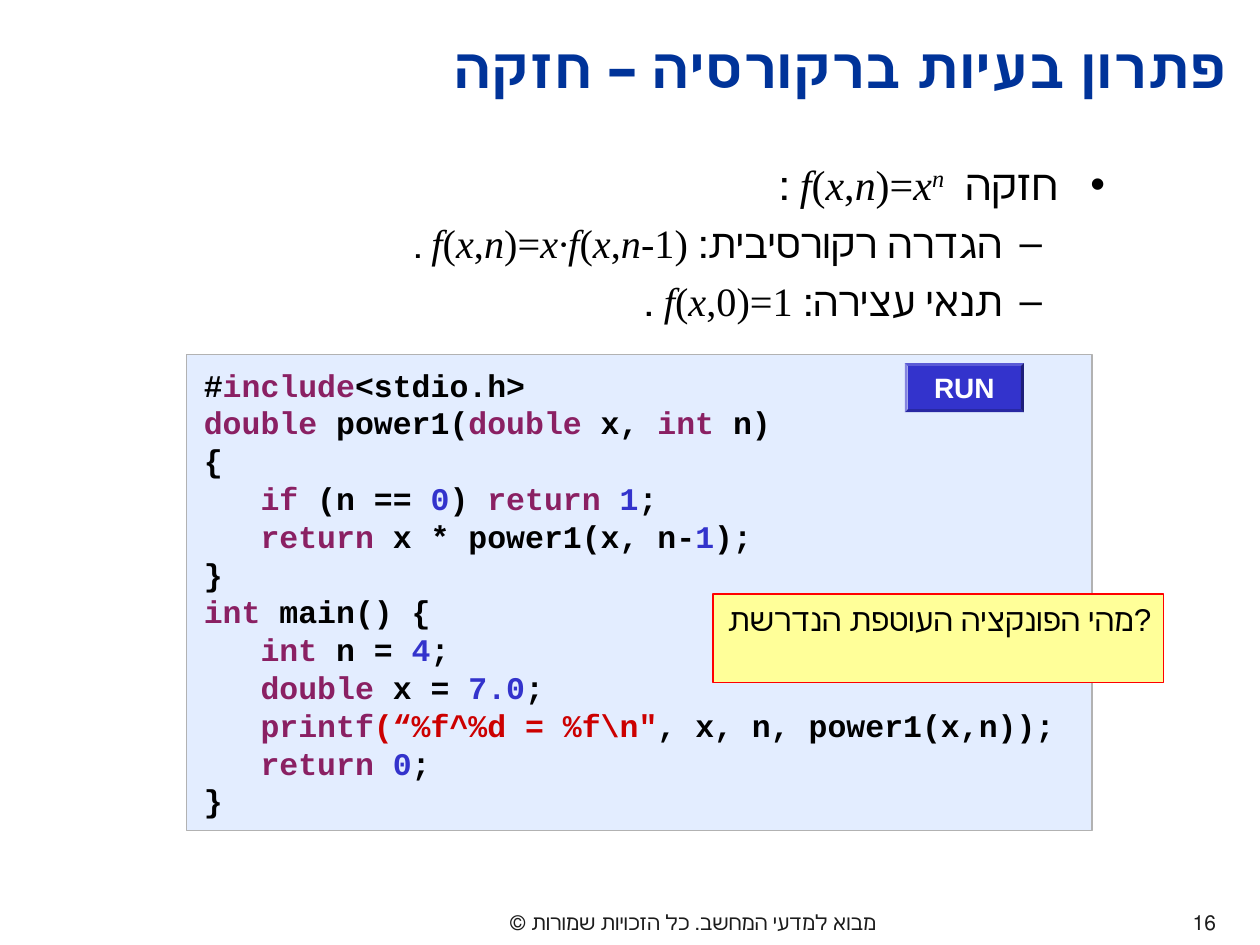
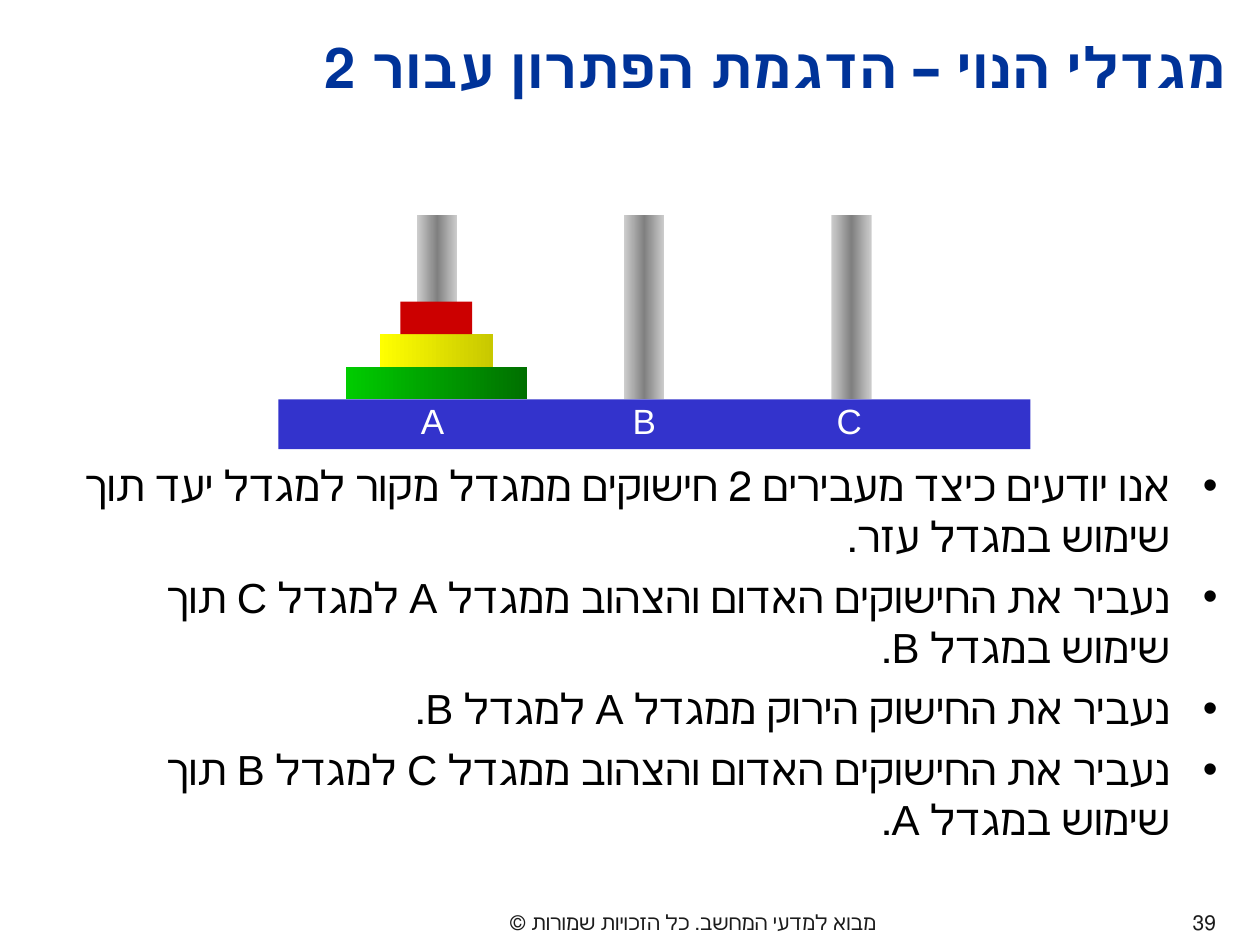
from itertools import groupby

from lxml.etree import SubElement
from pptx import Presentation
from pptx.dml.color import RGBColor
from pptx.enum.shapes import MSO_SHAPE as Shape
from pptx.enum.text import MSO_ANCHOR as Anchor, PP_ALIGN as Align
from pptx.oxml import parse_xml
from pptx.oxml.ns import nsdecls, qn
from pptx.util import Pt

# Colours
BLACK = RGBColor(0x00, 0x00, 0x00)
WHITE = RGBColor(0xFF, 0xFF, 0xFF)
TITLE_BLUE = RGBColor(0x00, 0x33, 0x99)
FOOTER_GREY = RGBColor(0x1C, 0x1C, 0x1C)
BLUE = RGBColor(0x33, 0x33, 0xCC)
PURPLE = RGBColor(0x8A, 0x20, 0x63)
RED = RGBColor(0xCC, 0x00, 0x00)
CODE_FILL = RGBColor(0xE3, 0xED, 0xFF)
CODE_LINE = RGBColor(0xB2, 0xB2, 0xB2)
NOTE_FILL = RGBColor(0xFF, 0xFF, 0x99)
NOTE_LINE = RGBColor(0xFF, 0x00, 0x00)
POLE_EDGE = RGBColor(0xCD, 0xCD, 0xCD)
POLE_MIDDLE = RGBColor(0x80, 0x80, 0x80)
YELLOW = RGBColor(0xFF, 0xFF, 0x00)
DARK_YELLOW = RGBColor(0xC8, 0xC8, 0x00)
GREEN = RGBColor(0x00, 0xCC, 0x00)
DARK_GREEN = RGBColor(0x00, 0x70, 0x00)

# Text styles
TITLE = {"size": Pt(32), "name": "Arial", "bold": True, "color": TITLE_BLUE}
FOOTER = {"size": Pt(12), "name": "Arial", "color": FOOTER_GREY}
BODY = {"size": Pt(24), "name": "Arial", "color": BLACK}
SUB_BODY = BODY | {"size": Pt(23)}
CODE = {"size": Pt(18), "name": "Courier New", "bold": True, "color": BLACK}
NOTE = {"size": Pt(18), "name": "Arial", "color": BLACK}
BUTTON = {"size": Pt(16), "name": "Arial", "bold": True, "color": WHITE}
LABEL = {"size": Pt(20), "name": "Arial", "color": WHITE}
MATH = {"name": "Times New Roman"}

# Bullets: character, left margin, hanging indent
BULLET = ("•", 27, -27)
DASH = ("–", 58.5, -22.5)


def add_box(slide, place, fill=None, line=None, kind=Shape.RECTANGLE):
    """Add a shape, or a text box if unfilled; a list of colours is a gradient."""
    place = map(Pt, place)
    if fill is None:
        box = slide.shapes.add_textbox(*place)
        box.text_frame.word_wrap = True
        return box
    shape = slide.shapes.add_shape(kind, *place)
    shape.shadow.inherit = False
    if isinstance(fill, list):
        stops = "".join(
            f'<a:gs pos="{100000 * i // (len(fill) - 1)}"><a:srgbClr val="{color}"/></a:gs>'
            for i, color in enumerate(fill))
        shape._element.spPr.insert(2, parse_xml(
            f'<a:gradFill {nsdecls("a")} rotWithShape="1"><a:gsLst>{stops}</a:gsLst>'
            '<a:lin ang="0" scaled="0"/></a:gradFill>'))
    else:
        shape.fill.solid()
        shape.fill.fore_color.rgb = fill
    if line is None:
        shape.line.fill.background()
    else:
        shape.line.color.rgb = line
        shape.line.width = Pt(0.75)
    shape.text_frame.vertical_anchor = Anchor.TOP
    return shape


def write(frame, runs, style, align=Align.RIGHT, rtl=True, bullet=None, before=0):
    """Write one paragraph; runs are (text, changes to the style)."""
    paragraph = frame.paragraphs[0]
    if paragraph.runs:
        paragraph = frame.add_paragraph()
    paragraph.alignment = align
    paragraph.space_before = Pt(before)
    properties = paragraph._p.get_or_add_pPr()
    properties.set("rtl", "1" if rtl else "0")
    if bullet:
        character, margin, indent = bullet
        properties.set("marL", str(Pt(margin)))
        properties.set("indent", str(Pt(indent)))
        SubElement(properties, qn("a:buFont")).set("typeface", "Arial")
        SubElement(properties, qn("a:buChar")).set("char", character)
    for text, changes in runs:
        run = paragraph.add_run()
        run.text = text
        for name, value in (style | changes).items():
            if name == "color":
                run.font.color.rgb = value
            elif name == "baseline":
                run.font._element.set("baseline", str(value))
            else:
                setattr(run.font, name, value)


presentation = Presentation()
presentation.slide_width = Pt(720)
presentation.slide_height = Pt(540)

# Shared title and footer
slides = []
for title_text, number in (("פתרון בעיות ברקורסיה – חזקה", "16"),
                           ("מגדלי הנוי – הדגמת הפתרון עבור 2", "39")):
    slide = presentation.slides.add_slide(presentation.slide_layouts[5])
    title = slide.shapes.title
    for name, value in zip(("left", "top", "width", "height"), (114, 5, 594.5, 65)):
        setattr(title, name, Pt(value))
    title.text_frame.vertical_anchor = Anchor.MIDDLE
    write(title.text_frame, [(title_text, {})], TITLE)
    footer = add_box(slide, (132, 516, 528, 23.5))
    write(footer.text_frame, [("מבוא למדעי המחשב. כל הזכויות שמורות ©", {})],
          FOOTER, Align.CENTER)
    page = add_box(slide, (666, 516, 36, 23.5))
    write(page.text_frame, [(number, {})], FOOTER)
    slides.append(slide)
power_slide, hanoi_slide = slides

# Power: definitions, with variables in italics
definitions = add_box(power_slide, (103, 87, 535.5, 110)).text_frame
superscript = [("n", MATH | {"italic": True, "baseline": 30000})]
for lead, formula, exponent, end, style, bullet, before in (
        ("חזקה  ", "f(x,n)=x", superscript, (" :", {}), BODY, BULLET, 6),
        ("הגדרה רקורסיבית: ", "f(x,n)=x·f(x,n-1)", [], (" .", {"size": Pt(21)}),
         SUB_BODY, DASH, 5.2),
        ("תנאי עצירה: ", "f(x,0)=1", [], (" .", {}), SUB_BODY, DASH, 5.8)):
    math = [("".join(letters), MATH | {"italic": italic})
            for italic, letters in groupby(formula, lambda letter: letter in "fxn·")]
    write(definitions, [(lead, {}), *math, *exponent, end], style,
          bullet=bullet, before=before)

# Power: code listing
PLAIN, KEYWORD, NUMBER, STRING = ({"color": c} for c in (BLACK, PURPLE, BLUE, RED))
INDENT = ("   ", PLAIN)
code_lines = [
    [("#", PLAIN), ("include", KEYWORD), ("<stdio.h>", PLAIN)],
    [("double", KEYWORD), (" power1(", PLAIN), ("double", KEYWORD), (" x, ", PLAIN),
     ("int", KEYWORD), (" n)", PLAIN)],
    [("{", PLAIN)],
    [INDENT, ("if", KEYWORD), (" (n == ", PLAIN), ("0", NUMBER), (") ", PLAIN),
     ("return ", KEYWORD), ("1", NUMBER), (";", PLAIN)],
    [INDENT, ("return", KEYWORD), (" x * power1(x, n-", PLAIN), ("1", NUMBER), (");", PLAIN)],
    [("}", PLAIN)],
    [("int", KEYWORD), (" main() {", PLAIN)],
    [INDENT, ("int", KEYWORD), (" n = ", PLAIN), ("4", NUMBER), (";", PLAIN)],
    [INDENT, ("double", KEYWORD), (" x = ", PLAIN), ("7.0", NUMBER), (";", PLAIN)],
    [INDENT, ("printf", KEYWORD), ('(“%f^%d = %f\\n"', STRING),
     (", x, n, power1(x,n));", PLAIN)],
    [INDENT, ("return ", KEYWORD), ("0", NUMBER), (";", PLAIN)],
    [("}", PLAIN)],
]
listing = add_box(power_slide, (106.5, 202.5, 517.5, 272), CODE_FILL, CODE_LINE).text_frame
for side, margin in (("left", 10), ("right", 10), ("top", 6.5), ("bottom", 6.5)):
    setattr(listing, f"margin_{side}", Pt(margin))
for code_line in code_lines:
    write(listing, code_line, CODE, Align.LEFT, rtl=False)

# Power: run button and question
button = add_box(power_slide, (517, 207.5, 68, 28), BLUE, kind=Shape.BEVEL)
button.adjustments[0] = 0.06
button.text_frame.word_wrap = False
button.text_frame.vertical_anchor = Anchor.MIDDLE
write(button.text_frame, [("RUN", {})], BUTTON, Align.CENTER)
question = add_box(power_slide, (407.5, 339.5, 257.5, 50.5), NOTE_FILL, NOTE_LINE)
write(question.text_frame, [("מהי הפונקציה העוטפת הנדרשת?", {})], NOTE, rtl=False)

# Hanoi: base, poles and labels
BASE_TOP = 228.2
FIRST_POLE, POLE_GAP = 249.8, 118.4
POLE_WIDTH, POLE_HEIGHT = 23, 105.2
LABEL_WIDTH = 26
add_box(hanoi_slide, (159.1, BASE_TOP, 429.8, 28.5), BLUE)
for i, (letter, shift) in enumerate((("A", -1.8), ("B", 0.8), ("C", 0))):
    center = FIRST_POLE + i * POLE_GAP
    add_box(hanoi_slide, (center - POLE_WIDTH / 2, BASE_TOP - POLE_HEIGHT,
                          POLE_WIDTH, POLE_HEIGHT), [POLE_EDGE, POLE_MIDDLE, POLE_EDGE])
    label = add_box(hanoi_slide, (center + shift - LABEL_WIDTH / 2, 224.6, LABEL_WIDTH, 31.7))
    label.text_frame.word_wrap = False
    write(label.text_frame, [(letter, {})], LABEL, Align.CENTER)

# Hanoi: rings, from the bottom up
RING_CENTER, RING_HEIGHT = 249.3, 18.6
rings = ((103.7, [GREEN, DARK_GREEN]), (64.5, [YELLOW, DARK_YELLOW]), (41, RED))
for i, (width, fill) in enumerate(rings):
    add_box(hanoi_slide, (RING_CENTER - width / 2, BASE_TOP - (i + 1) * RING_HEIGHT,
                          width, RING_HEIGHT), fill)

# Hanoi: steps
steps = add_box(hanoi_slide, (21.5, 259.2, 681.2, 238.3)).text_frame
for step in ("אנו יודעים כיצד מעבירים 2 חישוקים ממגדל מקור למגדל יעד תוך שימוש במגדל עזר. ",
             "נעביר את החישוקים האדום והצהוב ממגדל A למגדל C תוך שימוש במגדל B.",
             "נעביר את החישוק הירוק ממגדל A למגדל B.",
             "נעביר את החישוקים האדום והצהוב ממגדל C למגדל B תוך שימוש במגדל A."):
    write(steps, [(step, {})], BODY, bullet=BULLET, before=6)

presentation.save("out.pptx")
